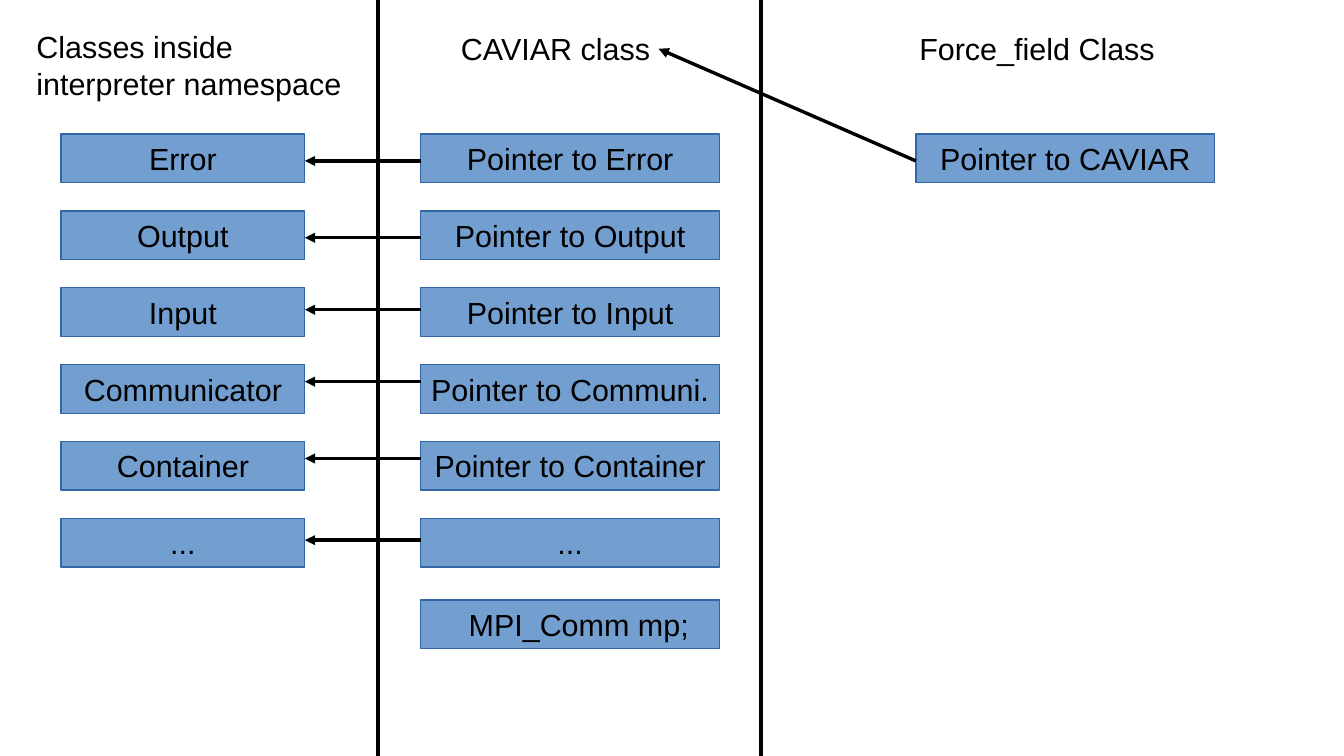
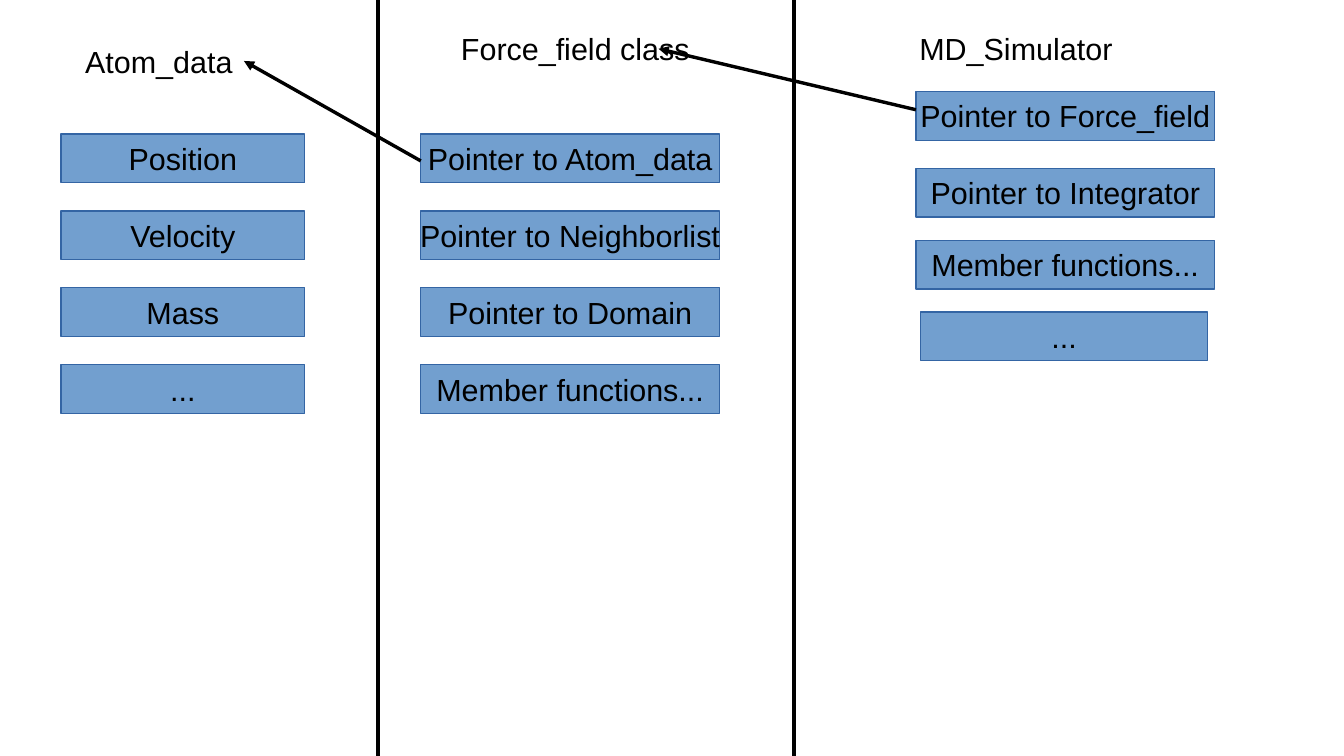
from pptx import Presentation
from pptx import util as u
from pptx.dml.color import RGBColor
from pptx.enum import shapes, text
from pptx.oxml.ns import qn
from lxml import etree

BLACK, BLUE, EDGE = "000000", "729FCF", "3465A4"
FONT, SIZE = "Arial", 18
WIDE, HIGH = 11.02, 6.2
LEFT, MID, RIGHT = (0.5, 2), (3.45, 2.45), (7.51, 2.45)
TOP, STEP, BOX = 1.1, 0.63, 0.4


def paint(part, color):
    """Give a fill a solid colour."""
    part.solid()
    part.fore_color.rgb = RGBColor.from_string(color)


def place(shape, x, y, w, h):
    """Move and size a shape, in inches."""
    shape.left, shape.top, shape.width, shape.height = map(u.Inches, (x, y, w, h))


def write(shape, words, align, anchor, wrap):
    """Set the text of a shape in the shared style."""
    frame = shape.text_frame
    frame.text = words
    frame.word_wrap = wrap
    frame.auto_size = text.MSO_AUTO_SIZE.NONE
    frame.vertical_anchor = anchor
    frame.margin_left = frame.margin_right = u.Inches(0.1)
    frame.margin_top = frame.margin_bottom = u.Inches(0.05)
    para = frame.paragraphs[0]
    para.alignment = align
    para.line_spacing = 1.0
    font = para.runs[0].font
    font.name, font.size = FONT, u.Pt(SIZE)
    paint(font.fill, BLACK)


def label(shape, words, x, y, w, h):
    """Turn a text shape into a column heading."""
    place(shape, x, y, w, h)
    write(shape, words, text.PP_ALIGN.LEFT, text.MSO_ANCHOR.TOP, True)


def head(slide, words, x, y, w, h):
    """Add a heading beside the title."""
    label(slide.shapes.add_textbox(0, 0, 0, 0), words, x, y, w, h)


def box(slide, words, x, y, w):
    """Add one blue class member box."""
    spot = map(u.Inches, (x, y, w, BOX))
    shape = slide.shapes.add_shape(shapes.MSO_SHAPE.RECTANGLE, *spot)
    shape.shadow.inherit = False
    paint(shape.fill, BLUE)
    paint(shape.line.fill, EDGE)
    shape.line.width = 0
    write(shape, words, text.PP_ALIGN.CENTER, text.MSO_ANCHOR.MIDDLE, False)
    return shape


def stack(slide, column, names, top=TOP, step=STEP):
    """Add a column of evenly spaced boxes."""
    x, w = column
    for i, name in enumerate(names):
        box(slide, name, x, top + i * step, w)


def line(slide, x1, y1, x2, y2, arrow=True):
    """Add a hairline, with an arrowhead at its end if wanted."""
    ends = map(u.Inches, (x1, y1, x2, y2))
    link = slide.shapes.add_connector(shapes.MSO_CONNECTOR.STRAIGHT, *ends)
    paint(link.line.fill, BLACK)
    link.line.width = 0
    props = link._element.spPr
    if arrow:
        etree.SubElement(props.find(qn("a:ln")), qn("a:tailEnd"), type="triangle")
    etree.SubElement(props, qn("a:effectLst"))


def start(deck, title, width, split):
    """Add a slide with its title and two column rules."""
    slide = deck.slides.add_slide(deck.slide_layouts[5])
    label(slide.shapes.title, title, 3.68, 0.2, width, 0.38)
    for x in (3.1, split):
        line(slide, x, 0, x, HIGH, arrow=False)
    return slide


def core(deck):
    """Build the slide on the interpreter classes."""
    slide = start(deck, "CAVIAR class", 1.9, 6.24)
    head(slide, "Classes inside interpreter namespace", 0.2, 0.18, 2.8, 1.22)
    head(slide, "Force_field Class", 7.44, 0.2, 3.5, 0.66)
    names = ["Error", "Output", "Input", "Communicator", "Container", "..."]
    short = {"Communicator": "Communi."}
    stack(slide, LEFT, names)
    stack(slide, MID, [n if n == "..." else f"Pointer to {short.get(n, n)}" for n in names])
    stack(slide, RIGHT, ["Pointer to CAVIAR"])
    comm = box(slide, "MPI_Comm mp;", MID[0], 4.92, MID[1])
    comm.text_frame.margin_left = u.Inches(0.24)
    for y in (1.32, 1.95, 2.54, 3.13, 3.76, 4.43):
        line(slide, MID[0], y, sum(LEFT), y)
    line(slide, RIGHT[0], 1.32, 5.4, 0.4)


def force(deck):
    """Build the slide on the force field class."""
    slide = start(deck, "Force_field class", 2.52, 6.51)
    head(slide, "Atom_data", 0.6, 0.3, 1.9, 0.38)
    head(slide, "MD_Simulator", 7.44, 0.2, 3.5, 0.66)
    stack(slide, LEFT, ["Position", "Velocity", "Mass", "..."])
    stack(slide, MID, ["Pointer to Atom_data", "Pointer to Neighborlist",
                       "Pointer to Domain", "Member functions..."])
    stack(slide, RIGHT, ["Pointer to Force_field", "Pointer to Integrator"], 0.75)
    stack(slide, RIGHT, ["Member functions..."], 1.97)
    stack(slide, (7.55, 2.35), ["..."], 2.56)
    line(slide, MID[0], 1.32, 2, 0.5)
    line(slide, RIGHT[0], 0.9, 5.4, 0.4)


def main():
    """Build and save the deck."""
    deck = Presentation()
    deck.slide_width, deck.slide_height = u.Inches(WIDE), u.Inches(HIGH)
    core(deck)
    force(deck)
    deck.save("out.pptx")


if __name__ == "__main__":
    main()
